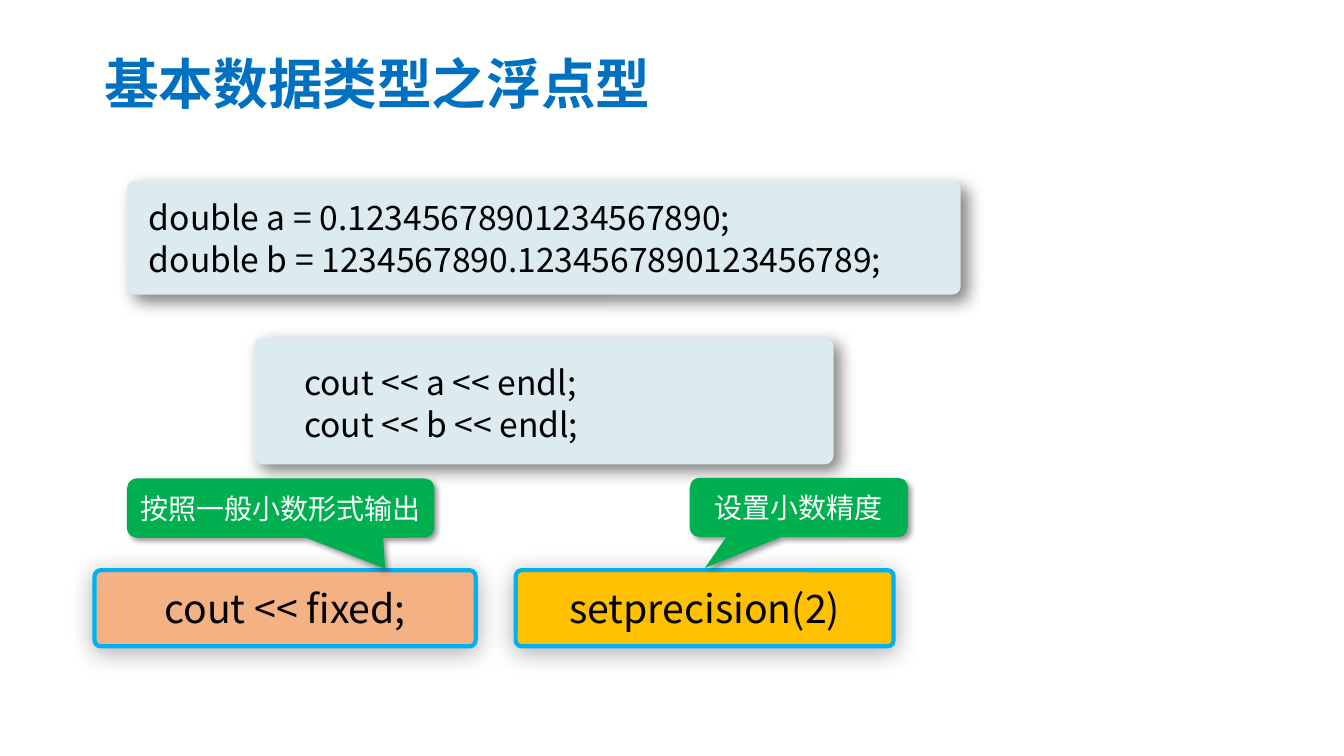
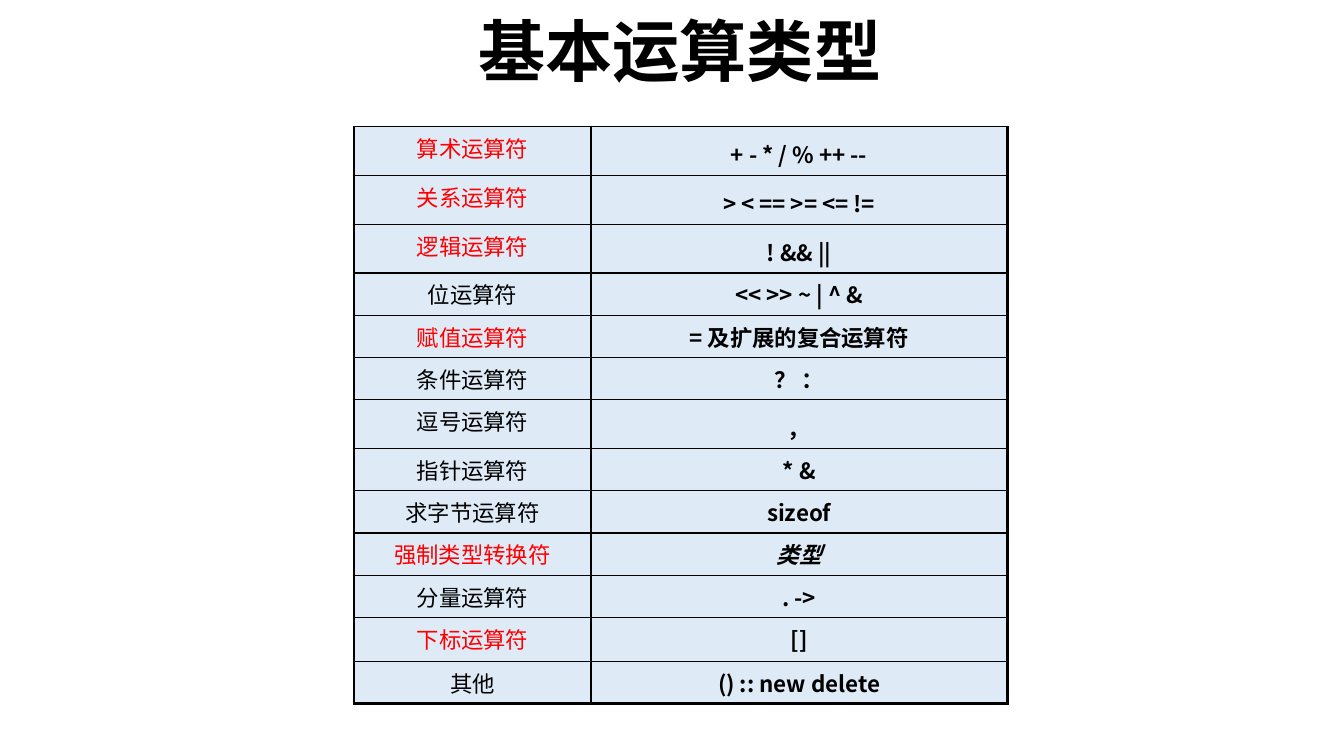
from dataclasses import dataclass

from lxml import etree
from pptx import Presentation
from pptx import util as u
from pptx.dml.color import RGBColor
from pptx.enum import shapes, text
from pptx.oxml import ns


@dataclass(frozen=True)
class Theme:
    font: str = "Noto Sans CJK SC"
    heading_font: str = "Noto Sans CJK JP"
    black: str = "000000"
    white: str = "FFFFFF"
    title_blue: str = "0070C0"
    outline: str = "00B0F0"
    panel: str = "DCEBEF"
    peach: str = "F4B183"
    amber: str = "FFC000"
    green: str = "00B050"
    red: str = "FF0000"
    cell: str = "DEEBF7"
    title_size: float = 39
    heading_size: float = 48
    code_size: float = 24
    code_leading: float = 30
    statement_size: float = 28
    callout_size: float = 20
    table_size: float = 16
    thin: float = 1
    frame: float = 2.25
    panel_shadow: tuple = (50, 12, 6, 45)
    statement_shadow: tuple = (33, 17.8, 3, 87)
    callout_shadow: tuple = (40, 4, 3, 45)


THEME = Theme()
GRID_CM = 0.8
EM_GAP = " "
EN_GAP = " "

OPERATORS = [
    ("算术运算符", "+ - * / % ++ --"),
    ("关系运算符", "> < == >= <= !="),
    ("逻辑运算符", "! && ||"),
    ("位运算符", "<< >> ~ | ^ &"),
    ("赋值运算符", "= 及扩展的复合运算符"),
    ("条件运算符", "？ ："),
    ("逗号运算符", "，"),
    ("指针运算符", "* &"),
    ("求字节运算符", "sizeof"),
    ("强制类型转换符", "类型"),
    ("分量运算符", ". ->"),
    ("下标运算符", "[]"),
    ("其他", "() :: new delete"),
]
KEY_ROWS = {0, 1, 2, 4, 9, 11}
LOOSE_ROWS = {0, 1, 2, 6}
TIGHT_GAP_ROWS = {4, 5}
SUBSCRIPT_ROW = 11
CAST_ROW = 9


def grid(*units):
    return [u.Cm(GRID_CM * unit) for unit in units]


def rgb(value):
    return RGBColor.from_string(value)


def style(paragraph, size, color, face=THEME.font, bold=False, italic=False):
    font = paragraph.font
    font.size = u.Pt(size)
    font.bold = bold
    font.italic = italic
    font.color.rgb = rgb(color)
    font.name = face
    etree.SubElement(font._element, ns.qn("a:ea"), typeface=face)


def add_title(slide, box, wording, size, color, face=THEME.font,
              align=text.PP_ALIGN.LEFT, leading=None):
    frame = slide.shapes.add_textbox(*grid(*box)).text_frame
    frame.word_wrap = True
    frame.margin_top = frame.margin_bottom = 0
    frame.vertical_anchor = text.MSO_ANCHOR.MIDDLE
    frame.text = wording
    paragraph = frame.paragraphs[0]
    paragraph.alignment = align
    paragraph.line_spacing = leading
    style(paragraph, size, color, face, bold=True)


def add_shadow(shape, opacity, blur, distance, angle):
    shape.shadow.inherit = False
    effects = shape._element.spPr.find(ns.qn("a:effectLst"))
    shadow = etree.SubElement(
        effects, ns.qn("a:outerShdw"), blurRad=str(u.Pt(blur)),
        dist=str(u.Pt(distance)), dir=str(angle * 60000), rotWithShape="0")
    tint = etree.SubElement(shadow, ns.qn("a:srgbClr"), val=THEME.black)
    etree.SubElement(tint, ns.qn("a:alpha"), val=str(opacity * 1000))


def add_block(slide, kind, box, adjustments, fill, shadow):
    block = slide.shapes.add_shape(kind, *grid(*box))
    for index, value in enumerate(adjustments):
        block.adjustments[index] = value
    block.fill.solid()
    block.fill.fore_color.rgb = rgb(fill)
    block.line.fill.background()
    add_shadow(block, *shadow)
    return block


def add_label(block, wording, size, color):
    frame = block.text_frame
    frame.margin_left = frame.margin_right = 0
    frame.margin_top = frame.margin_bottom = 0
    frame.vertical_anchor = text.MSO_ANCHOR.MIDDLE
    frame.text = wording
    frame.paragraphs[0].alignment = text.PP_ALIGN.CENTER
    style(frame.paragraphs[0], size, color)


def add_code_panel(slide, panel_box, code_box, lines):
    add_block(slide, shapes.MSO_SHAPE.ROUNDED_RECTANGLE, panel_box, [0.07],
              THEME.panel, THEME.panel_shadow)
    frame = slide.shapes.add_textbox(*grid(*code_box)).text_frame
    frame.word_wrap = True
    frame.text = "\n".join(lines)
    for paragraph in frame.paragraphs:
        paragraph.line_spacing = u.Pt(THEME.code_leading)
        style(paragraph, THEME.code_size, THEME.black)


def add_statement(slide, box, wording, fill):
    statement = add_block(slide, shapes.MSO_SHAPE.ROUNDED_RECTANGLE, box, [0.08],
                          fill, THEME.statement_shadow)
    statement.line.color.rgb = rgb(THEME.outline)
    statement.line.width = u.Pt(3)
    add_label(statement, wording, THEME.statement_size, THEME.black)


def add_callout(slide, box, wording, tail_x):
    callout = add_block(slide, shapes.MSO_SHAPE.ROUNDED_RECTANGULAR_CALLOUT, box,
                        [tail_x, 1.02, 0.17], THEME.green, THEME.callout_shadow)
    add_label(callout, wording, THEME.callout_size, THEME.white)


def set_borders(cell, **widths):
    properties = cell._tc.get_or_add_tcPr()
    for index, side in enumerate(("L", "R", "T", "B")):
        width = widths.get(side, THEME.thin)
        line = etree.Element(ns.qn("a:ln" + side), w=str(u.Pt(width)))
        fill = etree.SubElement(line, ns.qn("a:solidFill"))
        etree.SubElement(fill, ns.qn("a:srgbClr"), val=THEME.black)
        properties.insert(index, line)


def fill_cell(cell, wording, color, leading=None, bold=False, italic=False, **borders):
    cell.fill.solid()
    cell.fill.fore_color.rgb = rgb(THEME.cell)
    cell.text = wording
    paragraph = cell.text_frame.paragraphs[0]
    paragraph.alignment = text.PP_ALIGN.CENTER
    paragraph.line_spacing = leading
    style(paragraph, THEME.table_size, color, bold=bold, italic=italic)
    set_borders(cell, **borders)


def add_operator_table(slide, left, top, columns):
    heights = [1.54 if row in LOOSE_ROWS else 1.39 if row == SUBSCRIPT_ROW else 1.33
               for row in range(len(OPERATORS))]
    table = slide.shapes.add_table(
        len(OPERATORS), len(columns),
        *grid(left, top, sum(columns), sum(heights))).table
    table.first_row = table.horz_banding = False
    for column, width in zip(table.columns, grid(*columns)):
        column.width = width
    for row, (name, symbols) in enumerate(OPERATORS):
        table.rows[row].height = grid(heights[row])[0]
        bottom = THEME.frame if row == len(OPERATORS) - 1 else THEME.thin
        gap = EN_GAP if row in TIGHT_GAP_ROWS else EM_GAP
        fill_cell(table.cell(row, 0), name,
                  THEME.red if row in KEY_ROWS else THEME.black,
                  L=THEME.frame, B=bottom)
        fill_cell(table.cell(row, 1), symbols.replace(" ", gap), THEME.black,
                  leading=1.2 if row in LOOSE_ROWS else None,
                  bold=True, italic=row == CAST_ROW,
                  R=THEME.frame, B=bottom)


def build_float_slide(slide):
    add_title(slide, (2.97, 1.41, 18.25, 2.4), "基本数据类型之浮点型",
              THEME.title_size, THEME.title_blue)
    add_code_panel(slide, (4, 5.7, 26.25, 3.58), (4.38, 6, 25, 3),
                   ["double a = 0.12345678901234567890;",
                    "double b = 1234567890.1234567890123456789;"])
    add_code_panel(slide, (8, 10.63, 18.25, 4), (9.27, 11.2, 11, 3),
                   ["cout << a << endl;", "cout << b << endl;"])
    add_statement(slide, (2.98, 17.96, 12, 2.4), "cout << fixed;", THEME.peach)
    add_statement(slide, (16.24, 17.96, 11.9, 2.4), "setprecision(2)", THEME.amber)
    add_callout(slide, (4, 15.07, 9.68, 1.87), "按照一般小数形式输出", 0.34)
    add_callout(slide, (21.72, 15.05, 6.87, 1.87), "设置小数精度", -0.43)


def build_operator_slide(slide):
    add_title(slide, (12.26, 0.3, 18.29, 2.83), "基本运算类型",
              THEME.heading_size, THEME.black, THEME.heading_font,
              text.PP_ALIGN.CENTER, 0.9)
    add_operator_table(slide, 11.15, 3.98, (7.46, 13.11))


def main():
    deck = Presentation()
    deck.slide_width = u.Inches(13.33)
    deck.slide_height = u.Inches(7.5)
    blank = deck.slide_layouts[6]
    for build in (build_float_slide, build_operator_slide):
        build(deck.slides.add_slide(blank))
    deck.save("out.pptx")


if __name__ == "__main__":
    main()
